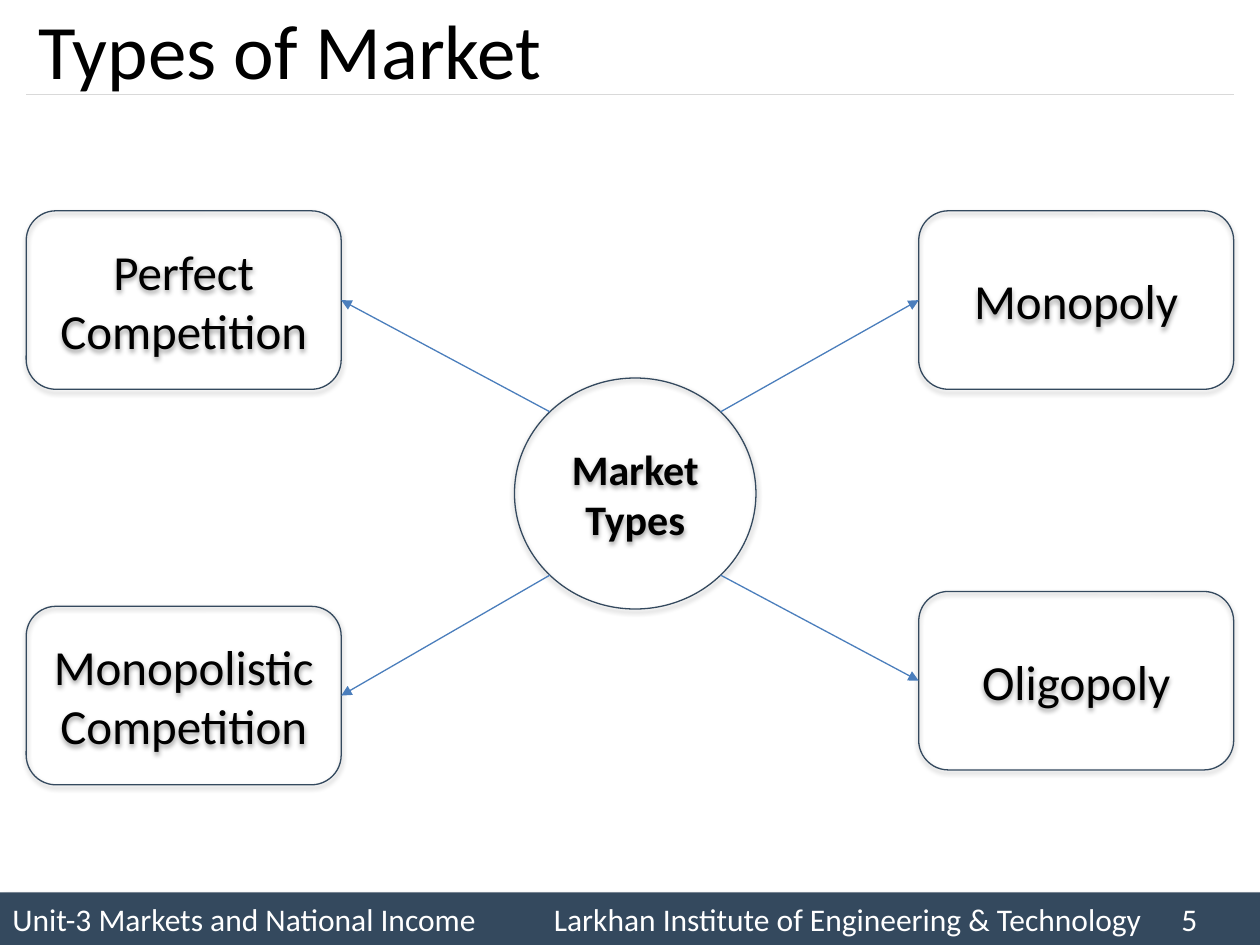
import math

import pptx
import pptx.util
from lxml import etree
from pptx.dml.color import RGBColor
from pptx.enum.shapes import MSO_CONNECTOR, MSO_SHAPE
from pptx.enum.text import MSO_ANCHOR, PP_ALIGN
from pptx.oxml.ns import qn

Pt = pptx.util.Pt
COLORS = {"navy": "34495E", "rule": "D9D9D9", "arrow": "4B7EBC",
          "black": "000000", "white": "FFFFFF"}


def add_shape(kind, box, text, size, color, shadow, bold=False):
    """Add an unfilled shape with text; shadow is (blur, distance, angle, opacity %)."""
    sp = s.shapes.add_shape(kind, *[Pt(v) for v in box])
    sp.fill.background()
    sp.line.color.rgb = RGBColor.from_string(COLORS["navy"])
    sp.line.width = Pt(0.75)
    sp.shadow.inherit = False
    blur, dist, angle, alpha = shadow
    effects = sp._element.spPr.find(qn("a:effectLst"))
    outer = etree.SubElement(effects, qn("a:outerShdw"), blurRad=str(Pt(blur)),
                             dist=str(Pt(dist)), dir=str(angle * 60000), rotWithShape="0")
    clr = etree.SubElement(outer, qn("a:srgbClr"), val=COLORS["black"])
    etree.SubElement(clr, qn("a:alpha"), val=str(alpha * 1000))
    tf = sp.text_frame
    tf.word_wrap = True
    tf.vertical_anchor = MSO_ANCHOR.MIDDLE
    tf.text = text
    p = tf.paragraphs[0]
    p.alignment = PP_ALIGN.CENTER
    for r in p.runs:
        r.font.name, r.font.size, r.font.bold = "Calibri", Pt(size), bold
        r.font.color.rgb = RGBColor.from_string(COLORS[color])
    return sp


def add_line(x1, y1, x2, y2, color):
    ln = s.shapes.add_connector(MSO_CONNECTOR.STRAIGHT, Pt(x1), Pt(y1), Pt(x2), Pt(y2))
    ln.line.color.rgb = RGBColor.from_string(COLORS[color])
    ln.line.width = Pt(0.75)
    etree.SubElement(ln._element.spPr, qn("a:effectLst"))
    return ln


prs = pptx.Presentation()
prs.slide_width, prs.slide_height = Pt(720), Pt(540)
s = prs.slides.add_slide(prs.slide_layouts[5])

# Footer bar, its three parts set on tab stops
footer = add_shape(MSO_SHAPE.RECTANGLE, (0, 510, 720, 30),
                   "Unit-3 Markets and National Income\t"
                   "Larkhan Institute of Engineering & Technology\t5",
                   18, "white", (4, 3, 45, 40))
footer.fill.solid()
footer.fill.fore_color.rgb = RGBColor.from_string(COLORS["navy"])
footer.line.fill.background()
p = footer.text_frame.paragraphs[0]
p.alignment = PP_ALIGN.LEFT
tabs = etree.SubElement(p._p.get_or_add_pPr(), qn("a:tabLst"))
for pos in (309.5, 668):
    etree.SubElement(tabs, qn("a:tab"), pos=str(Pt(pos)), algn="l")

# Title and rule
margin = 15
add_line(margin, 54, 720 - margin, 54, "rule")
title = s.shapes.title
title.left, title.top, title.width, title.height = Pt(margin), Pt(-3.6), Pt(690), Pt(63)
tf = title.text_frame
tf.text = "Types of Market"
tf.word_wrap = False
tf.vertical_anchor = MSO_ANCHOR.MIDDLE
tf.paragraphs[0].alignment = PP_ALIGN.LEFT
font = tf.paragraphs[0].runs[0].font
font.name, font.size = "Calibri", Pt(44)
font.color.rgb = RGBColor.from_string(COLORS["black"])

# Hub with four market types around it
soft = (3.1, 1.6, 90, 38)
hub_x, hub_y, hub_w, hub_h = 294, 216, 138, 132
add_shape(MSO_SHAPE.OVAL, (hub_x, hub_y, hub_w, hub_h), "Market Types",
          24, "black", soft, bold=True)

box_w, box_h = 180, 102
left, right = margin, 720 - margin - box_w
markets = [("Perfect Competition", left, 120.5), ("Monopoly", right, 120.5),
           ("Oligopoly", right, 338), ("Monopolistic Competition", left, 346.5)]
diagonal = math.sqrt(0.5)
for name, x, y in markets:
    add_shape(MSO_SHAPE.ROUNDED_RECTANGLE, (x, y, box_w, box_h), name, 28, "black", soft)
    side = -1 if x == left else 1
    level = -1 if y < hub_y else 1
    arrow = add_line(hub_x + hub_w / 2 * (1 + side * diagonal),
                     hub_y + hub_h / 2 * (1 + level * diagonal),
                     x + box_w if x == left else x, y + box_h / 2, "arrow")
    etree.SubElement(arrow.line._get_or_add_ln(), qn("a:tailEnd"), type="triangle")

prs.save("out.pptx")
